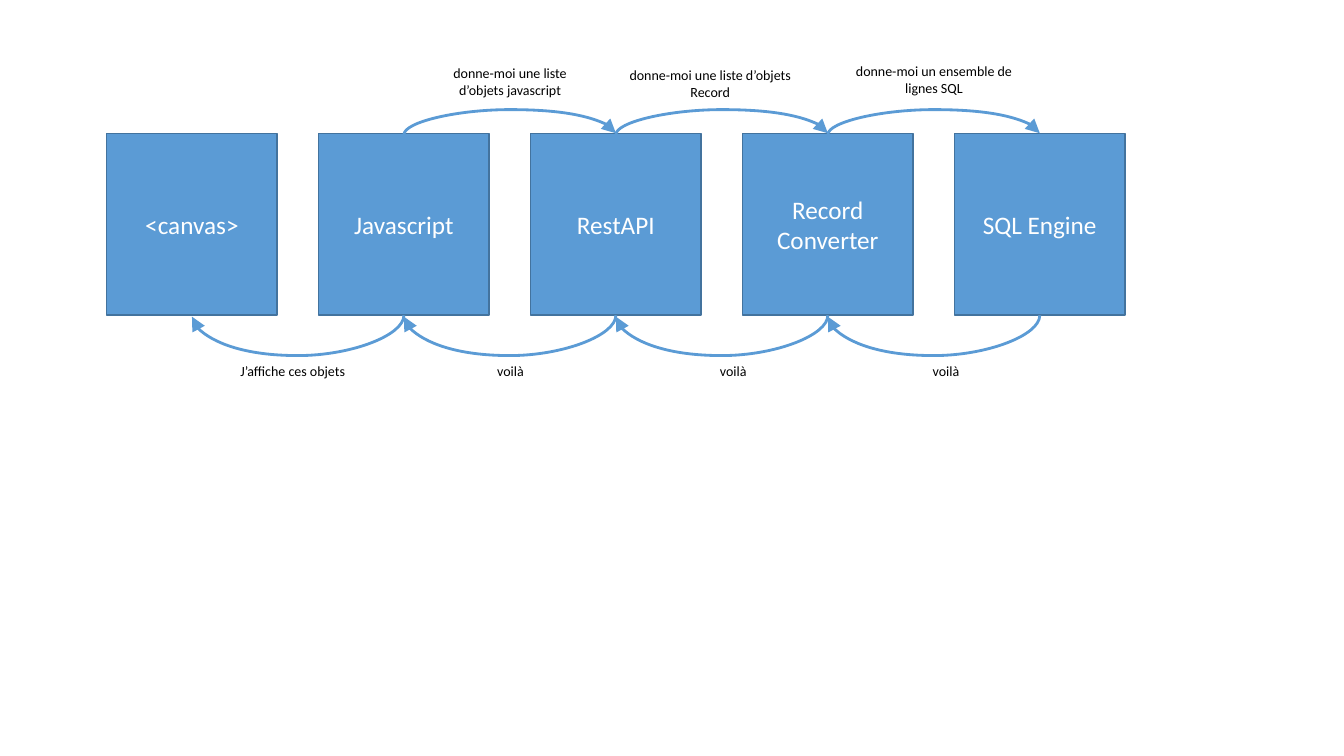
import dataclasses

import lxml.etree
import pptx
import pptx.dml.color
import pptx.enum.shapes
import pptx.enum.text
import pptx.oxml.ns
import pptx.util

Pt = pptx.util.Pt
qn = pptx.oxml.ns.qn


@dataclasses.dataclass(frozen=True)
class Theme:
    font: str = "Calibri"
    blue: str = "5B9BD5"
    edge: str = "43739E"
    white: str = "FFFFFF"
    black: str = "000000"
    big: float = 18
    small: float = 10


THEME = Theme()
LEFT, TOP, STEP = 76.2, 95.2, 151.4
WIDTH, HEIGHT = 121.8, 130
STAGES = ["<canvas>", "Javascript", "RestAPI", "Record Converter", "SQL Engine"]
CALLS = [
    ("donne-moi une liste d’objets javascript", 309.6, 42.5, 109.4),
    ("donne-moi une liste d’objets Record", 440, 44, 134.6),
    ("donne-moi un ensemble de lignes SQL", 599.8, 41, 134.6),
]
REPLIES = [
    ("J’affiche ces objets", 141.8),
    ("voilà", 297.4),
    ("voilà", 456.5),
    ("voilà", 608.4),
]


def apply(item, values):
    for name, value in values.items():
        setattr(item, name, value)


def tint(code):
    return pptx.dml.color.RGBColor.from_string(code)


def write(shape, text, size, color, anchor):
    frame = shape.text_frame
    apply(frame, {"word_wrap": True, "vertical_anchor": anchor})
    para = frame.paragraphs[0]
    para.alignment = pptx.enum.text.PP_ALIGN.CENTER
    run = para.add_run()
    run.text = text
    apply(run.font, {"name": THEME.font, "size": Pt(size)})
    run.font.color.rgb = tint(color)


def stage(slide, text, left):
    kind = pptx.enum.shapes.MSO_SHAPE.RECTANGLE
    box = slide.shapes.add_shape(kind, Pt(left), Pt(TOP), Pt(WIDTH), Pt(HEIGHT))
    box.shadow.inherit = False
    box.fill.solid()
    box.fill.fore_color.rgb = tint(THEME.blue)
    box.line.color.rgb = tint(THEME.edge)
    box.line.width = Pt(1)
    write(box, text, THEME.big, THEME.white, pptx.enum.text.MSO_ANCHOR.MIDDLE)


def label(slide, text, left, top, width, height):
    box = slide.shapes.add_textbox(Pt(left), Pt(top), Pt(width), Pt(height))
    write(box, text, THEME.small, THEME.black, pptx.enum.text.MSO_ANCHOR.TOP)


def arc(slide, mid, level, sign, depth):
    kind = pptx.enum.shapes.MSO_CONNECTOR.CURVE
    dx, dy = sign * 0.5, sign * STEP / 2
    ends = (mid - dx, level - dy, mid + dx, level + dy)
    link = slide.shapes.add_connector(kind, *map(Pt, ends))
    link.rotation = 90
    link.line.color.rgb = tint(THEME.blue)
    link.line.width = Pt(2)
    props = link._element.spPr
    guides = props.find(qn("a:prstGeom")).get_or_add_avLst()
    guide = lxml.etree.SubElement(guides, qn("a:gd"))
    guide.set("name", "adj1")
    guide.set("fmla", f"val {depth * 100000}")
    tail = lxml.etree.SubElement(props.find(qn("a:ln")), qn("a:tailEnd"))
    for name, value in {"type": "triangle", "w": "lg", "len": "lg"}.items():
        tail.set(name, value)
    lxml.etree.SubElement(props, qn("a:effectLst"))


def main():
    deck = pptx.Presentation()
    apply(deck, {"slide_width": Pt(960), "slide_height": Pt(540)})
    slide = deck.slides.add_slide(deck.slide_layouts[6])
    for i, text in enumerate(STAGES):
        stage(slide, text, LEFT + i * STEP)
    first = LEFT + (WIDTH + STEP) / 2
    for i, (text, left, top, width) in enumerate(CALLS, 1):
        arc(slide, first + i * STEP, TOP + 0.5, -1, 18)
        label(slide, text, left, top, width, 31.5)
    for i, (text, left) in enumerate(REPLIES):
        arc(slide, first + i * STEP, TOP + HEIGHT + 0.5, 1, 29)
        label(slide, text, left, 255.6, 134.6, 19.4)
    deck.save("out.pptx")


main()
